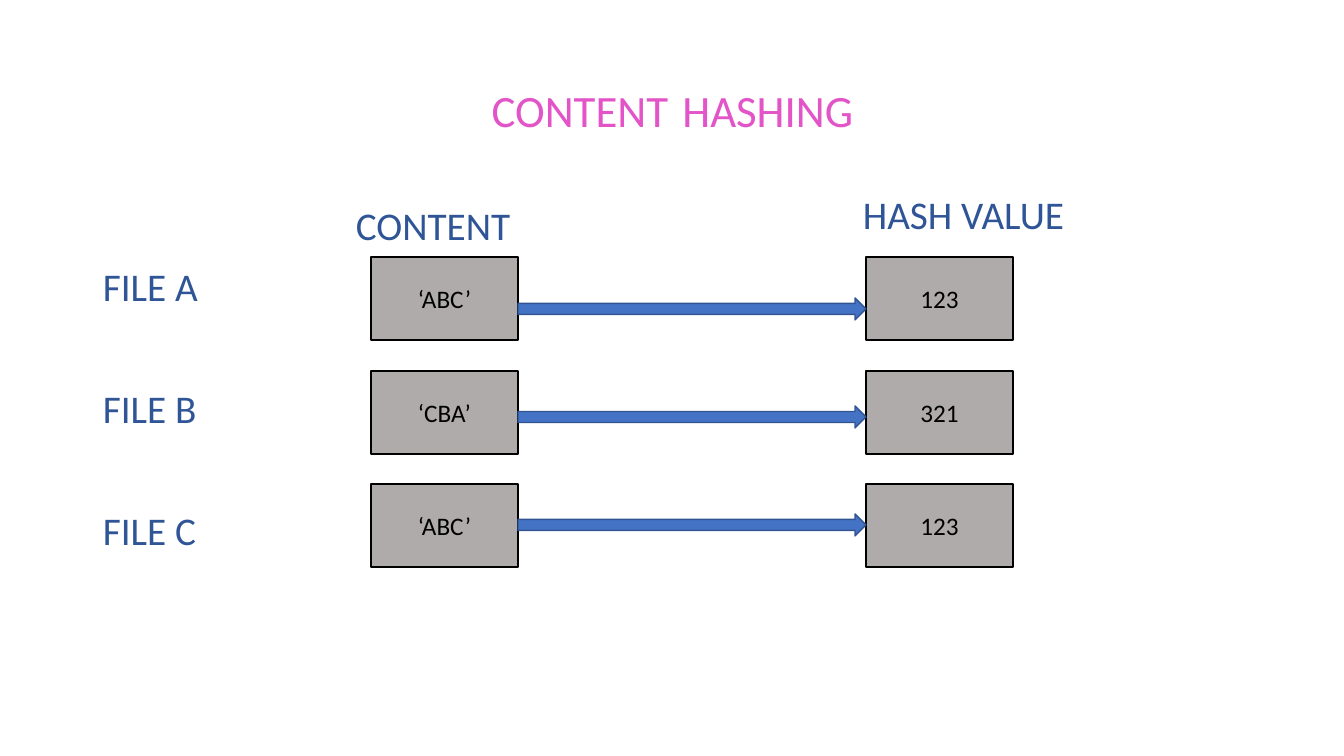
from pptx import Presentation
from pptx.dml.color import RGBColor
from pptx.enum.shapes import MSO_SHAPE
from pptx.enum.text import MSO_ANCHOR, PP_ALIGN
from pptx.util import Pt

EMU_PER_PX = 914400 / 100.8
PINK, NAVY, BLUE, BLUE_EDGE = "E254C7", "2F5597", "4472C4", "325491"
GRAY, BLACK = "AFABAB", "000000"


def px(*lengths):
    return [round(length * EMU_PER_PX) for length in lengths]


def color(hex_code):
    return RGBColor.from_string(hex_code)


class Page:
    font_name = "Calibri"

    def __init__(self, deck):
        self.shapes = deck.slides.add_slide(deck.slide_layouts[6]).shapes

    def style(self, paragraph, size, hex_code, align):
        paragraph.font.name = self.font_name
        paragraph.font.size = Pt(size)
        paragraph.font.color.rgb = color(hex_code)
        paragraph.alignment = align

    def text(self, lines, bounds, size=28, hex_code=NAVY, align=PP_ALIGN.LEFT,
             anchor=MSO_ANCHOR.TOP, spacing=1.0, gap=0):
        """Add one paragraph per line; return the paragraphs."""
        frame = self.shapes.add_textbox(*px(*bounds)).text_frame
        frame.word_wrap = True
        frame.vertical_anchor = anchor
        frame.text = "\n".join(lines)
        for paragraph in frame.paragraphs:
            self.style(paragraph, size, hex_code, align)
            paragraph.line_spacing = spacing
            paragraph.space_after = Pt(gap)
        return frame.paragraphs

    def shape(self, kind, bounds, fill, line):
        shape = self.shapes.add_shape(kind, *px(*bounds))
        shape.shadow.inherit = False
        shape.fill.solid()
        shape.fill.fore_color.rgb = color(fill)
        shape.line.color.rgb = color(line)
        shape.line.width = Pt(1)
        return shape

    def box(self, label, bounds):
        frame = self.shape(MSO_SHAPE.RECTANGLE, bounds, GRAY, BLACK).text_frame
        frame.vertical_anchor = MSO_ANCHOR.MIDDLE
        frame.text = label
        self.style(frame.paragraphs[0], 18, BLACK, PP_ALIGN.CENTER)

    def arrow(self, bounds):
        self.shape(MSO_SHAPE.RIGHT_ARROW, bounds, BLUE, BLUE_EDGE)

    def title(self, words, bounds):
        """Add a centred title whose word gaps are larger than its words."""
        paragraph = self.text([""], bounds, 32, PINK, PP_ALIGN.CENTER,
                              MSO_ANCHOR.MIDDLE, 0.9)[0]
        for index, word in enumerate(words):
            if index:
                space = paragraph.add_run()
                space.text = " "
                space.font.size = Pt(44)
            paragraph.add_run().text = word


def main():
    deck = Presentation()
    deck.slide_width, deck.slide_height = px(1344, 756)
    page = Page(deck)

    page.title(["CONTENT", "HASHING"], (93, 35, 1159, 146))
    page.text(["CONTENT"], (333, 202, 200, 53), align=PP_ALIGN.CENTER, spacing=0.9)
    page.text(["HASH VALUE"], (853, 185, 321, 57))
    page.text(["FILE A", "FILE B", "FILE C"], (93, 263, 240, 300),
              spacing=0.9, gap=56.7)

    content_left, hash_left, box_width, box_height = 371, 866, 147, 83
    arrow_left = content_left + box_width
    rows = [("‘ABC’", "123"), ("‘CBA’", "321"), ("‘ABC’", "123")]
    for row, (content, hash_value) in enumerate(rows):
        top = 257 + round(113.5 * row)
        page.box(content, (content_left, top, box_width, box_height))
        page.box(hash_value, (hash_left, top, box_width, box_height))
        page.arrow((arrow_left, 298 + 108 * row, hash_left - arrow_left, 22))

    deck.save("out.pptx")


if __name__ == "__main__":
    main()
